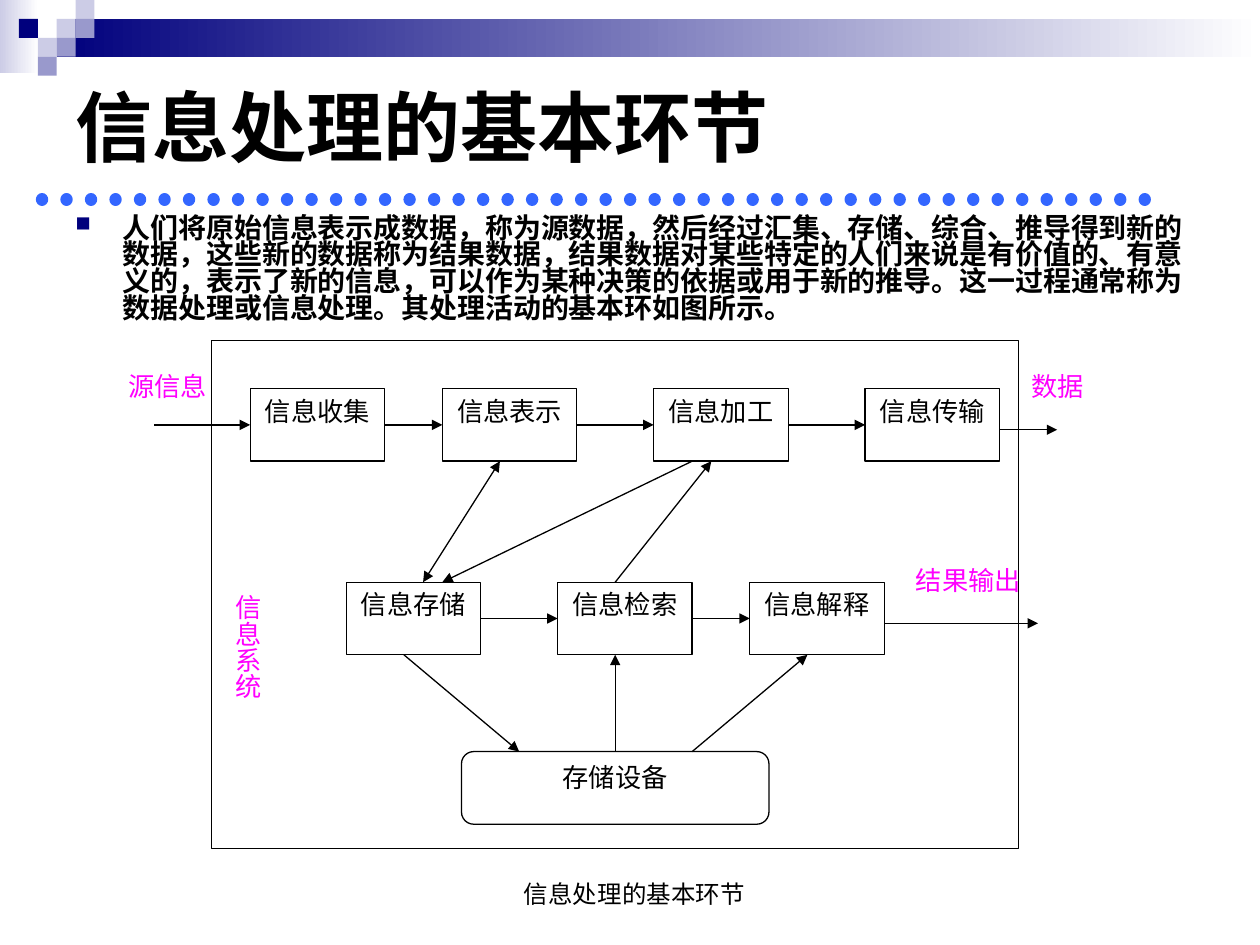
import pptx
import pptx.util
import pptx.dml.color
import pptx.enum.dml
import pptx.enum.shapes
import pptx.enum.text
import pptx.oxml.ns
import lxml.etree

Pt = pptx.util.Pt
RGB = pptx.dml.color.RGBColor.from_string
Shape = pptx.enum.shapes.MSO_SHAPE
Align = pptx.enum.text.PP_ALIGN
Anchor = pptx.enum.text.MSO_ANCHOR
qn = pptx.oxml.ns.qn

theme = {
    "ink": "000000", "paper": "FFFFFF", "label": "FF00FF", "rule": "3366FF",
    "navy": "00007D", "violet": "9999CC", "lilac": "CCCCE6",
    "title": 44, "body": 16, "node": 15, "caption": 14,
    "heading_font": "Arial", "diagram_font": "Times New Roman",
}


def write_text(box, text, size, font, color, bold=False, align=Align.LEFT, anchor=Anchor.TOP):
    frame_format = {"word_wrap": True, "vertical_anchor": anchor,
                    "margin_left": Pt(7.2), "margin_right": Pt(7.2),
                    "margin_top": Pt(3.6), "margin_bottom": Pt(3.6)}
    for name, value in frame_format.items():
        setattr(box.text_frame, name, value)
    para = box.text_frame.paragraphs[0]
    para.alignment = align
    span = para.add_run()
    span.text = text
    for name, value in {"size": Pt(theme[size]), "name": theme[font], "bold": bold}.items():
        setattr(span.font, name, value)
    span.font.color.rgb = RGB(theme[color])
    return para


def draw_line(start, end, color, width):
    line = page.shapes.add_connector(
        pptx.enum.shapes.MSO_CONNECTOR.STRAIGHT, *[Pt(value) for value in (*start, *end)])
    line.line.color.rgb = RGB(theme[color])
    line.line.width = Pt(width)
    lxml.etree.SubElement(line._element.spPr, qn("a:effectLst"))
    return line


deck = pptx.Presentation()
deck.slide_width, deck.slide_height = Pt(720), Pt(540)
page = deck.slides.add_slide(deck.slide_layouts[6])

for left, top, width, height, color in [(0, 0, 22, 42, "lilac"), (32.4, 10.8, 687.6, 21.6, "navy")]:
    band = page.shapes.add_shape(Shape.RECTANGLE, Pt(left), Pt(top), Pt(width), Pt(height))
    band.shadow.inherit = False
    band.line.fill.background()
    band.fill.gradient()
    band.fill.gradient_angle = 0
    for stop, shade in zip(band.fill.gradient_stops, (color, "paper")):
        stop.color.rgb = RGB(theme[shade])

tile = 10.8
for column, row, color in [(3, 1, "lilac"), (4, 0, "lilac"), (4, 1, "violet"), (2, 2, "lilac"),
                           (1, 1, "navy"), (3, 2, "violet"), (2, 3, "violet")]:
    square = page.shapes.add_shape(
        Shape.RECTANGLE, Pt(column * tile), Pt(row * tile), Pt(tile), Pt(tile))
    square.shadow.inherit = False
    square.line.fill.background()
    square.fill.solid()
    square.fill.fore_color.rgb = RGB(theme[color])

title = page.shapes.add_textbox(Pt(36), Pt(18), Pt(648), Pt(108))
write_text(title, "信息处理的基本环节", "title", "heading_font", "ink", True, anchor=Anchor.MIDDLE)

body = page.shapes.add_textbox(Pt(36), Pt(120.2), Pt(653.8), Pt(90))
body_para = write_text(
    body,
    "人们将原始信息表示成数据，称为源数据，然后经过汇集、存储、综合、推导得到新的数据，"
    "这些新的数据称为结果数据，结果数据对某些特定的人们来说是有价值的、有意义的，"
    "表示了新的信息，可以作为某种决策的依据或用于新的推导。"
    "这一过程通常称为数据处理或信息处理。其处理活动的基本环如图所示。",
    "body", "heading_font", "ink", True)
body_para.line_spacing = 0.8
body_para.space_before = Pt(4)
properties = body_para._p.get_or_add_pPr()
properties.set("marL", str(Pt(27)))
properties.set("indent", str(Pt(-27)))
bullet_color = lxml.etree.SubElement(properties, qn("a:buClr"))
lxml.etree.SubElement(bullet_color, qn("a:srgbClr"), val=theme["navy"])
lxml.etree.SubElement(properties, qn("a:buSzPct"), val="75000")
lxml.etree.SubElement(properties, qn("a:buChar"), char="■")

origin_x, origin_y, step_x, step_y = 121, 194.4, 10.98, 13.83
nodes = {}
for name, column, row, width, height, kind in [
    ("", 0, 0, 42, 21, Shape.RECTANGLE),
    ("信息收集", 2, 2, 7, 3, Shape.RECTANGLE),
    ("信息表示", 12, 2, 7, 3, Shape.RECTANGLE),
    ("信息加工", 23, 2, 7, 3, Shape.RECTANGLE),
    ("信息传输", 34, 2, 7, 3, Shape.RECTANGLE),
    ("信息存储", 7, 10, 7, 3, Shape.RECTANGLE),
    ("信息检索", 18, 10, 7, 3, Shape.RECTANGLE),
    ("信息解释", 28, 10, 7, 3, Shape.RECTANGLE),
    ("存储设备", 13, 17, 16, 3, Shape.FLOWCHART_ALTERNATE_PROCESS),
]:
    node = page.shapes.add_shape(
        kind, Pt(origin_x + column * step_x), Pt(origin_y + row * step_y),
        Pt(width * step_x), Pt(height * step_y))
    node.shadow.inherit = False
    node.fill.solid()
    node.fill.fore_color.rgb = RGB(theme["paper"])
    node.line.color.rgb = RGB(theme["ink"])
    node.line.width = Pt(0.75)
    if name:
        write_text(node, name, "node", "diagram_font", "ink", align=Align.CENTER)
    nodes[name] = node

for start, end, source, target, ends in [
    ((-3, 3.5), (2, 3.5), None, ("信息收集", 1), ["tailEnd"]),
    ((9, 3.5), (12, 3.5), ("信息收集", 3), ("信息表示", 1), ["tailEnd"]),
    ((19, 3.5), (23, 3.5), ("信息表示", 3), ("信息加工", 1), ["tailEnd"]),
    ((30, 3.5), (34, 3.5), ("信息加工", 3), ("信息传输", 1), ["tailEnd"]),
    ((11, 10), (15, 5), None, None, ["headEnd", "tailEnd"]),
    ((25, 5), (12, 10), None, None, ["tailEnd"]),
    ((21, 10), (26, 5), None, None, ["tailEnd"]),
    ((41, 3.7), (44, 3.7), None, None, ["tailEnd"]),
    ((14, 11.5), (18, 11.5), ("信息存储", 3), ("信息检索", 1), ["tailEnd"]),
    ((25, 11.5), (28, 11.5), ("信息检索", 3), ("信息解释", 1), ["tailEnd"]),
    ((35, 11.7), (43, 11.7), None, None, ["tailEnd"]),
    ((10, 13), (16, 17), None, None, ["tailEnd"]),
    ((21, 17), (21, 13), ("存储设备", 0), None, ["tailEnd"]),
    ((25, 17), (31, 13), None, None, ["tailEnd"]),
]:
    points = [(origin_x + column * step_x, origin_y + row * step_y) for column, row in (start, end)]
    arrow = draw_line(*points, "ink", 0.75)
    if source:
        arrow.begin_connect(nodes[source[0]], source[1])
    if target:
        arrow.end_connect(nodes[target[0]], target[1])
    for end_name in ends:
        lxml.etree.SubElement(arrow.line._get_or_add_ln(), qn("a:" + end_name), type="triangle")

for text, column, row, width, height, size, color, align in [
    ("源信息", -5, 1, 6, 3, "node", "label", Align.JUSTIFY),
    ("数据", 42, 1, 6, 3, "node", "label", Align.JUSTIFY),
    ("结果输出", 36, 9, 8, 3, "node", "label", Align.JUSTIFY),
    ("信息系统", -1, 10, 4, 9, "node", "label", Align.JUSTIFY),
    ("信息处理的基本环节", 13, 22, 18, 3, "caption", "ink", Align.CENTER),
]:
    label = page.shapes.add_textbox(
        Pt(origin_x + column * step_x), Pt(origin_y + row * step_y),
        Pt(width * step_x), Pt(height * step_y))
    write_text(label, text, size, "diagram_font", color, align=align)
    if height > width:
        label.text_frame._txBody.bodyPr.set("vert", "eaVert")
        for side, margin in {"left": 3.6, "right": 3.6, "top": 7.2, "bottom": 7.2}.items():
            setattr(label.text_frame, "margin_" + side, Pt(margin))

divider = draw_line((24, 114), (666, 114), "rule", 7)
divider.line.dash_style = pptx.enum.dml.MSO_LINE.ROUND_DOT
divider.line._get_or_add_ln().set("cap", "rnd")

deck.save("out.pptx")
